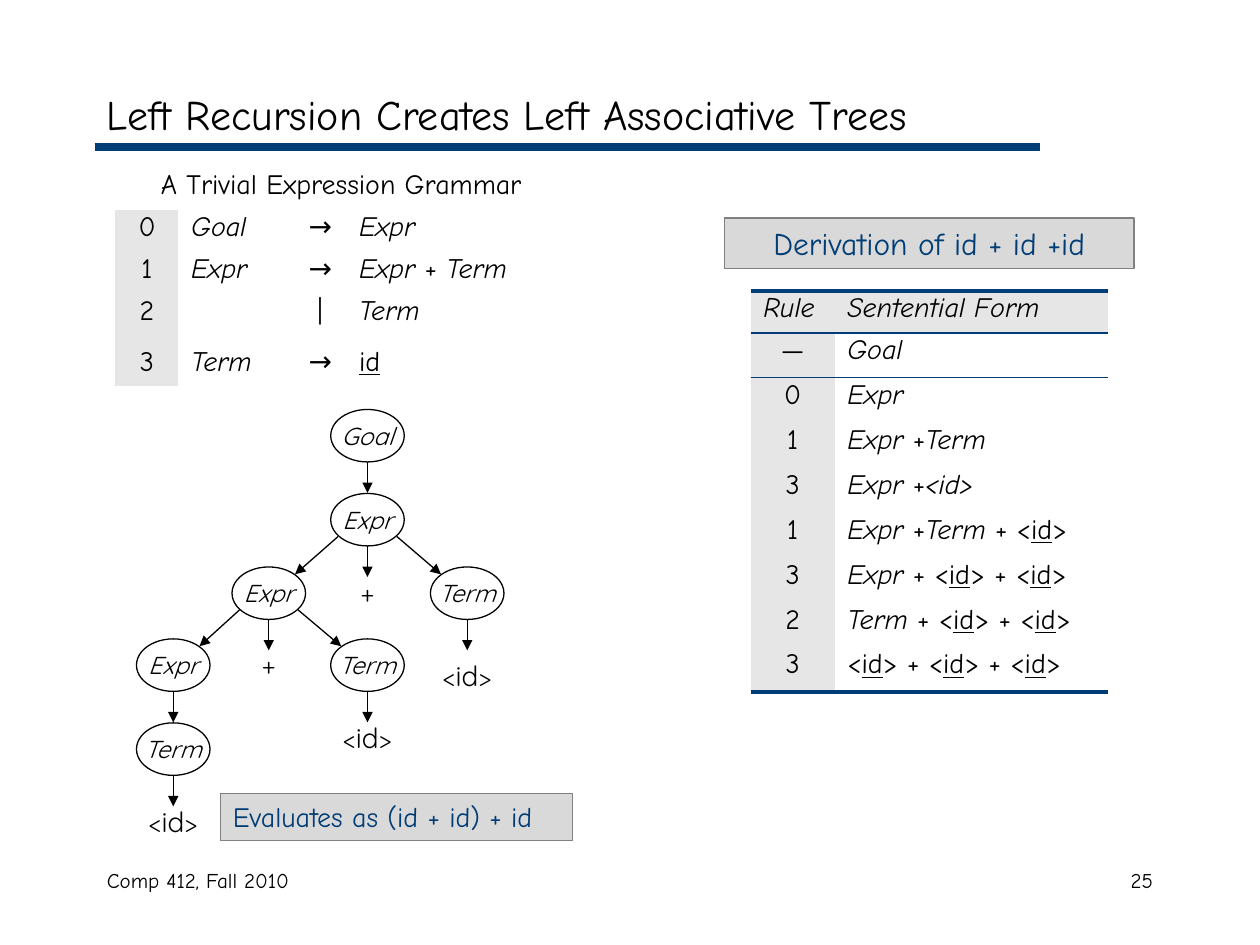
from dataclasses import dataclass
from typing import NamedTuple

from lxml import etree
from pptx import Presentation
from pptx.dml.color import RGBColor
from pptx.enum.shapes import MSO_CONNECTOR, MSO_SHAPE
from pptx.enum.text import MSO_ANCHOR, PP_ALIGN
from pptx.oxml.ns import qn
from pptx.util import Inches, Pt

LEFT, CENTER, RIGHT = PP_ALIGN.LEFT, PP_ALIGN.CENTER, PP_ALIGN.RIGHT
TOP, MIDDLE = MSO_ANCHOR.TOP, MSO_ANCHOR.MIDDLE
RECT, OVAL = MSO_SHAPE.RECTANGLE, MSO_SHAPE.OVAL
STRAIGHT = MSO_CONNECTOR.STRAIGHT
PLAIN_TABLE = "{2D5ABB26-0587-4C30-8999-92F81FD0307C}"


@dataclass(frozen=True)
class Theme:
    body: str = "Comic Neue"
    tree: str = "Quicksand"
    ink: str = "000000"
    navy: str = "003C75"
    panel: str = "D9D9D9"
    edge: str = "808080"
    shade: str = "E6E6E6"
    title: int = 24
    callout: int = 18
    text: int = 16
    node: int = 14
    footer: int = 12


class Box(NamedTuple):
    """Left, top, width and height in grid units."""
    x: float
    y: float
    w: float
    h: float


class Node(NamedTuple):
    """Text at a tree column and top row; its arrows go to the listed sides."""
    text: str
    col: int
    y: float
    arrows: str = ""
    ring: bool = True


T = Theme()
COLS, ROWS = 120, 90  # twelve grid units to the inch

prs = Presentation()
prs.slide_width, prs.slide_height = Inches(10), Inches(7.5)
s = prs.slides.add_slide(prs.slide_layouts[6])


def gx(cols: float) -> int:
    return round(prs.slide_width * cols / COLS)


def gy(rows: float) -> int:
    return round(prs.slide_height * rows / ROWS)


def place(box: Box) -> tuple[int, int, int, int]:
    return gx(box.x), gy(box.y), gx(box.w), gy(box.h)


def write(tf, text: str, size: int, font: str = T.body, color: str = T.ink,
          align=LEFT, anchor=TOP, wrap: bool = True) -> None:
    """Write runs: *italic*, _underlined_ and ^body size^ are toggled by marks."""
    tf.word_wrap, tf.vertical_anchor = wrap, anchor
    p = tf.paragraphs[0]
    p.alignment = align
    for i, slanted in enumerate(text.split("*")):
        for j, lined in enumerate(slanted.split("_")):
            for k, piece in enumerate(lined.split("^")):
                if piece:
                    r = p.add_run()
                    r.text = piece
                    r.font.name = font
                    r.font.size = Pt(T.text if k % 2 else size)
                    r.font.color.rgb = RGBColor.from_string(color)
                    r.font.italic, r.font.underline = i % 2 == 1, j % 2 == 1


def add_label(box: Box, text: str, size: int, align=LEFT, anchor=TOP) -> None:
    write(s.shapes.add_textbox(*place(box)).text_frame, text, size,
          align=align, anchor=anchor)


def add_outline(kind, box: Box, line: str | None, fill: str | None = None):
    sp = s.shapes.add_shape(kind, *place(box))
    sp.shadow.inherit = False
    if fill:
        sp.fill.solid()
        sp.fill.fore_color.rgb = RGBColor.from_string(fill)
    else:
        sp.fill.background()
    if line:
        sp.line.color.rgb = RGBColor.from_string(line)
        sp.line.width = Pt(0.75)
    else:
        sp.line.fill.background()
    return sp


def add_callout(box: Box, text: str, size: int, align=LEFT) -> None:
    sp = add_outline(RECT, box, T.edge, T.panel)
    write(sp.text_frame, text, size, color=T.navy, align=align)


def add_line(x1: float, y1: float, x2: float, y2: float, color: str = T.ink,
             width: float = 0.75, arrow: bool = True) -> None:
    cn = s.shapes.add_connector(STRAIGHT, gx(x1), gy(y1), gx(x2), gy(y2))
    cn.line.color.rgb = RGBColor.from_string(color)
    cn.line.width = Pt(width)
    if arrow:
        etree.SubElement(cn.line._get_or_add_ln(), qn("a:tailEnd"), type="triangle")
    etree.SubElement(cn._element.spPr, qn("a:effectLst"))


def add_border(cell, side: str, width: float) -> None:
    ln = etree.Element(qn(f"a:ln{side}"), w=str(Pt(width)))
    fill = etree.SubElement(ln, qn("a:solidFill"))
    etree.SubElement(fill, qn("a:srgbClr"), val=T.navy)
    tc_pr = cell._tc.get_or_add_tcPr()
    tc_pr.insert(len(tc_pr.findall(qn("a:lnT"))), ln)


def add_grid(x: float, y: float, widths: list[float], heights: list[float],
             rows: list[list[str]], centred: set[int], head_align, head_fill: bool):
    """Draw a table with a shaded first column and a heading row."""
    box = Box(x, y, sum(widths), sum(heights))
    table = s.shapes.add_table(len(rows), len(widths), *place(box)).table
    table.first_row = table.horz_banding = False
    table._tbl.tblPr.find(qn("a:tableStyleId")).text = PLAIN_TABLE
    for c, width in enumerate(widths):
        table.columns[c].width = gx(width)
    for i, row in enumerate(rows):
        table.rows[i].height = gy(heights[i])
        for c, text in enumerate(row):
            cell = table.cell(i, c)
            if head_fill if i == 0 else c == 0:
                cell.fill.solid()
                cell.fill.fore_color.rgb = RGBColor.from_string(T.shade)
            else:
                cell.fill.background()
            align = head_align if i == 0 else CENTER if c in centred else LEFT
            write(cell.text_frame, text, T.text, align=align)
            cell.text_frame.paragraphs[0].line_spacing = 0.8
    return table


# Title, rule and footer
add_label(Box(9, 7.3, 102, 7), "Left Recursion Creates Left Associative Trees",
          T.title, anchor=MIDDLE)
add_line(9, 14, 99, 14, T.navy, 4.5, arrow=False)
add_label(Box(9, 82, 38, 6), "Comp 412, Fall 2010", T.footer)
add_label(Box(86, 82, 25, 6), "25", T.footer, align=RIGHT)

# Grammar
grammar = add_grid(11, 16, [6, 11, 5, 21], [4, 4, 4, 4.28, 4], [
    ["A Trivial Expression Grammar", "", "", ""],
    ["0", "*Goal*", "→", "*Expr*"],
    ["1", "*Expr*", "→", "*Expr* + *Term*"],
    ["2", "", "|", "*Term*"],
    ["3", "*Term*", "→", "_id_"],
], {0, 2}, CENTER, head_fill=False)
grammar.cell(0, 0).merge(grammar.cell(0, 3))

# Derivation
add_callout(Box(69, 20.76, 39, 4.8), "Derivation of id + id +id", T.callout, CENTER)
steps = [
    ["*Rule*", "*Sentential Form*"],
    ["—", "*Goal*"],
    ["0", "*Expr*"],
    ["1", "*Expr* +*Term*"],
    ["3", "*Expr *+*<id>*"],
    ["1", "*Expr* +*Term *+ <_id_>"],
    ["3", "*Expr* + <_id_> + <_id_>"],
    ["2", "*Term *+ <_id_> + <_id_>"],
    ["3", "<_id_> + <_id_> + <_id_>"],
]
derivation = add_grid(71.5, 27.7, [8, 26], [4] + [4.28] * (len(steps) - 1),
                      steps, {0}, LEFT, head_fill=True)
for c in range(2):
    for row, side, width in ((0, "T", 2.25), (0, "B", 1), (1, "T", 1),
                             (len(steps) - 1, "B", 2.25)):
        add_border(derivation.cell(row, c), side, width)

# Parse tree: arrows go left (L), down (D) or right (R)
TREE_X = [16.5, 25.6, 35, 44.5]
NODE_W, NODE_H, DROP = 7, 5, 2.95
LEVEL = [39, 47, 54, 60.85, 68.85]
LEAF = "<^id^>"
NODES = [
    Node("*Goal*", 2, LEVEL[0], "D"),
    Node("*Expr*", 2, LEVEL[1], "LDR"),
    Node("*Expr*", 1, LEVEL[2], "LDR"),
    Node("+", 2, LEVEL[2], ring=False),
    Node("*Term*", 3, LEVEL[2], "D"),
    Node("*Expr*", 0, LEVEL[3], "D"),
    Node("+", 1, LEVEL[3], ring=False),
    Node("*Term*", 2, LEVEL[3], "D"),
    Node(LEAF, 3, 61.8, ring=False),
    Node("*Term*", 0, LEVEL[4], "D"),
    Node(LEAF, 2, 67.7, ring=False),
    Node(LEAF, 0, 75.7, ring=False),
]
for node in NODES:
    x = TREE_X[node.col]
    sp = add_outline(OVAL, Box(x - NODE_W / 2, node.y, NODE_W, NODE_H),
                     T.ink if node.ring else None)
    write(sp.text_frame, node.text, T.node, T.tree, align=CENTER,
          anchor=MIDDLE, wrap=False)
    for way in node.arrows:
        if way == "D":
            add_line(x, node.y + NODE_H, x, node.y + NODE_H + DROP)
        else:
            step = -1 if way == "L" else 1
            child_x = TREE_X[node.col + step]
            child_y = LEVEL[LEVEL.index(node.y) + 1]
            add_line(x + 2.8 * step, node.y + 4.1, child_x - 2.5 * step, child_y + 0.7)

# Result
add_callout(Box(21, 75.6, 33.5, 4.44), "Evaluates as (id + id) + id", T.text)

prs.save("out.pptx")
